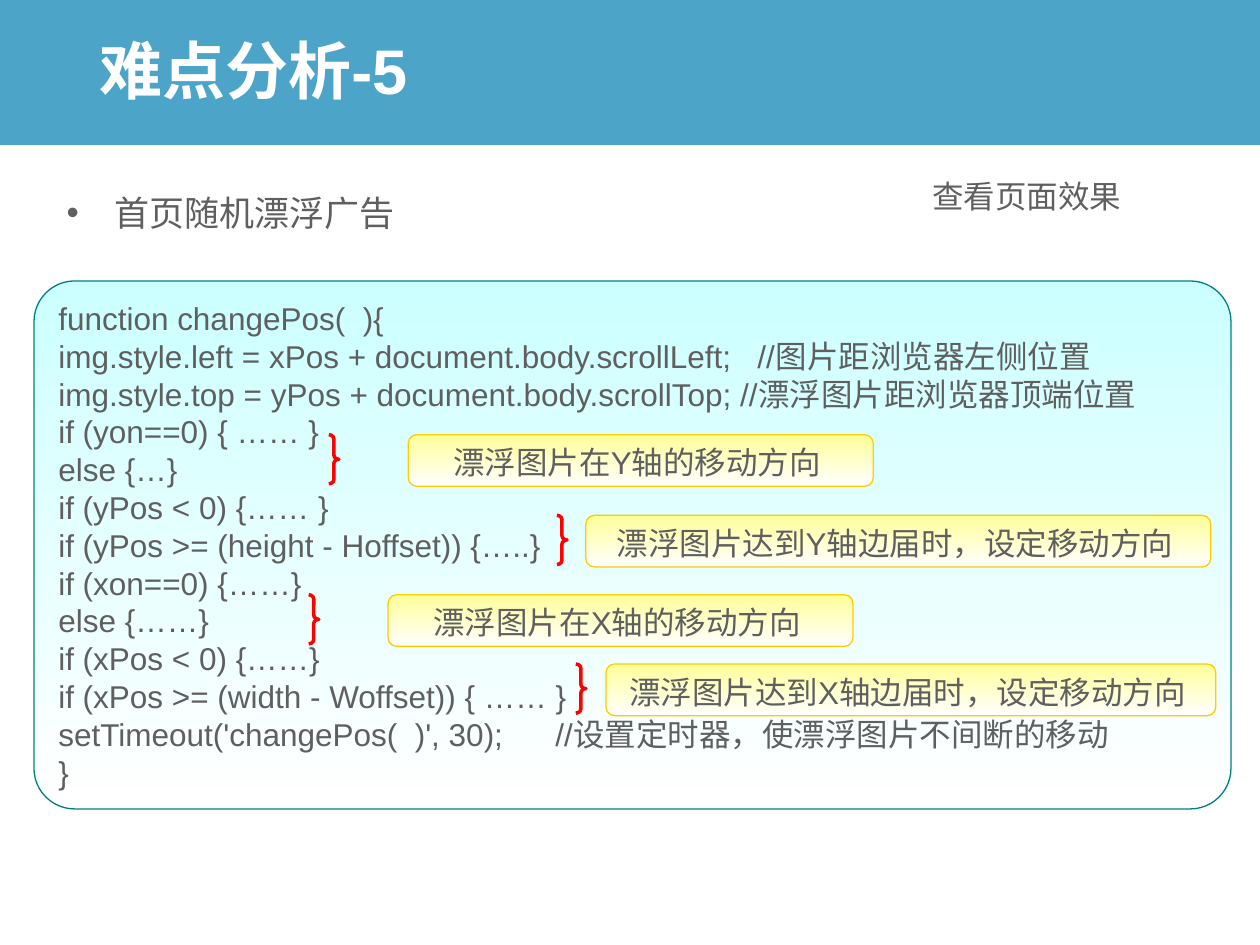
from dataclasses import dataclass

from lxml import etree
from pptx import Presentation
from pptx.dml.color import RGBColor
from pptx.enum.shapes import MSO_SHAPE
from pptx.enum.text import MSO_ANCHOR, PP_ALIGN
from pptx.oxml.ns import qn
from pptx.util import Inches, Pt

RECTANGLE = MSO_SHAPE.RECTANGLE
ROUNDED = MSO_SHAPE.ROUNDED_RECTANGLE
BRACE = MSO_SHAPE.RIGHT_BRACE
LEFT, CENTER = PP_ALIGN.LEFT, PP_ALIGN.CENTER
TOP, MIDDLE = MSO_ANCHOR.TOP, MSO_ANCHOR.MIDDLE


@dataclass(frozen=True)
class Theme:
    font: str = "Arial"
    title_size: int = 36
    bullet_size: int = 20
    body_size: int = 18
    text: str = "5F5F5F"
    white: str = "FFFFFF"
    band: str = "0080B2"
    code_fill: str = "CCFFFF"
    code_line: str = "008080"
    note_fill: str = "FFFF99"
    note_line: str = "FFCC00"
    brace: str = "FF0000"


THEME = Theme()

CODE = """function changePos(  ){
img.style.left = xPos + document.body.scrollLeft;   //图片距浏览器左侧位置
img.style.top = yPos + document.body.scrollTop; //漂浮图片距浏览器顶端位置
if (yon==0) { …… }
else {…}
if (yPos < 0) {…… }
if (yPos >= (height - Hoffset)) {…..}
if (xon==0) {……}
else {……}
if (xPos < 0) {……}
if (xPos >= (width - Woffset)) { …… }
setTimeout('changePos(  )', 30);      //设置定时器，使漂浮图片不间断的移动
}"""

NOTES = [
    (2.61, 3.24, 3.45, 3.69, "漂浮图片在Y轴的移动方向 "),
    (4.42, 4.65, 4.09, 4.96, "漂浮图片达到Y轴边届时，设定移动方向 "),
    (2.45, 3.08, 4.72, 3.69, "漂浮图片在X轴的移动方向 "),
    (4.57, 4.81, 5.27, 4.84, "漂浮图片达到X轴边届时，设定移动方向 "),
]


def inches(box):
    return [Inches(length) for length in box]


def write_text(shape, text, size=THEME.body_size, color=THEME.text, bold=False,
               align=LEFT, anchor=TOP, wrap=True):
    frame = shape.text_frame
    frame.word_wrap = wrap
    frame.vertical_anchor = anchor
    for index, line in enumerate(text.split("\n")):
        para = frame.add_paragraph() if index else frame.paragraphs[0]
        para.alignment = align
        span = para.add_run()
        span.text = line
        span.font.name = THEME.font
        span.font.size = Pt(size)
        span.font.bold = bold
        span.font.color.rgb = RGBColor.from_string(color)
    return frame.paragraphs[0]


def add_text(page, box, text, **style):
    return write_text(page.shapes.add_textbox(*inches(box)), text, **style)


def add_outline(page, kind, box, corner, line, width):
    shape = page.shapes.add_shape(kind, *inches(box))
    shape.shadow.inherit = False
    shape.adjustments[0] = corner
    shape.line.color.rgb = RGBColor.from_string(line)
    shape.line.width = Pt(width)
    return shape


def add_panel(page, box, corner, top_color, line):
    panel = add_outline(page, ROUNDED, box, corner, line, 0.75)
    panel.fill.gradient()
    panel.fill.gradient_angle = 270
    for stop, color in zip(panel.fill.gradient_stops, (top_color, THEME.white)):
        stop.color.rgb = RGBColor.from_string(color)
    return panel


def add_header(page, box):
    band = page.shapes.add_shape(RECTANGLE, *inches(box))
    band.shadow.inherit = False
    band.fill.solid()
    band.fill.fore_color.rgb = RGBColor.from_string(THEME.band)
    band.line.fill.background()
    color = next(band.element.spPr.iter(qn("a:srgbClr")))
    etree.SubElement(color, qn("a:alpha"), val="70000")
    left, top, width, height = box
    title_box = (left + 0.7, top + 0.18, width - 1.38, height - 0.32)
    title = add_text(page, title_box, "难点分析-5", size=THEME.title_size,
                     color=THEME.white, bold=True, anchor=MIDDLE)
    title.line_spacing = 0.9


def add_topic(page, box):
    para = add_text(page, box, "首页随机漂浮广告", size=THEME.bullet_size)
    para.space_before = Pt(5)
    props = para._p.get_or_add_pPr()
    props.set("marL", str(Inches(0.38)))
    props.set("indent", str(Inches(-0.38)))
    etree.SubElement(props, qn("a:buFont"), typeface=THEME.font)
    etree.SubElement(props, qn("a:buChar"), char="•")


def add_code(page, box):
    panel = add_panel(page, box, 0.077, THEME.code_fill, THEME.code_line)
    write_text(panel, CODE)


def add_note(page, brace_left, box, text):
    brace_box = (brace_left, box[1], 0.08, 0.39)
    brace = add_outline(page, BRACE, brace_box, 0.42, THEME.brace, 2)
    brace.fill.background()
    note = add_panel(page, box, 0.167, THEME.note_fill, THEME.note_line)
    write_text(note, text, align=CENTER)


def main():
    deck = Presentation()
    deck.slide_width, deck.slide_height = Inches(10), Inches(7.5)
    page = deck.slides.add_slide(deck.slide_layouts[6])
    add_header(page, (-0.01, -0.02, 10.01, 1.17))
    add_code(page, (0.27, 2.23, 9.5, 4.19))
    add_topic(page, (0.43, 1.47, 8.9, 0.55))
    add_text(page, (7.3, 1.36, 1.7, 0.4), "查看页面效果", wrap=False)
    for brace_left, left, top, width, text in NOTES:
        add_note(page, brace_left, (left, top, width, 0.41), text)
    deck.save("out.pptx")


if __name__ == "__main__":
    main()
